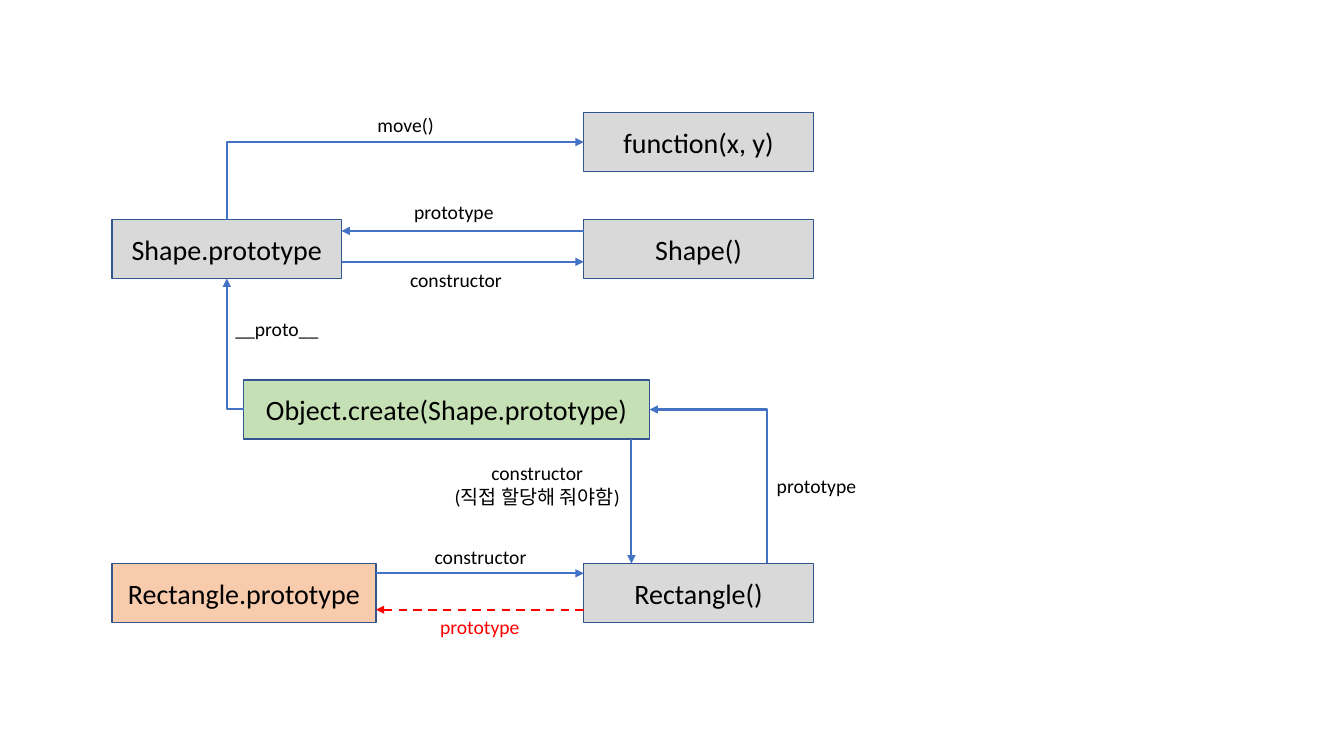
import pptx
import pptx.dml.color
import pptx.enum.dml
import pptx.enum.shapes
import pptx.enum.text
import pptx.oxml
import pptx.oxml.ns
import pptx.util

Pt = pptx.util.Pt
RGBColor = pptx.dml.color.RGBColor

BLACK = RGBColor(0x00, 0x00, 0x00)
RED = RGBColor(0xFF, 0x00, 0x00)
BLUE = RGBColor(0x44, 0x72, 0xC4)
NAVY = RGBColor(0x32, 0x54, 0x91)
GRAY = RGBColor(0xD9, 0xD9, 0xD9)
GREEN = RGBColor(0xC5, 0xE0, 0xB4)
ORANGE = RGBColor(0xF8, 0xCB, 0xAD)

FONT = "Calibri"
BOX_HEIGHT = 42
BOX_WIDTH = 164
LEFT_X, RIGHT_X = 80, 417
FUNCTION_Y, SHAPE_Y, CREATE_Y, RECTANGLE_Y = 80.5, 157, 271.5, 402.5
CREATE_X, CREATE_WIDTH = 174, 290
RECTANGLE_PROTOTYPE_WIDTH = 188.5
SHAPE_PROTOTYPE_RIGHT = LEFT_X + BOX_WIDTH
SHAPE_PROTOTYPE_CENTER = LEFT_X + BOX_WIDTH / 2
RECTANGLE_PROTOTYPE_RIGHT = LEFT_X + RECTANGLE_PROTOTYPE_WIDTH
CREATE_MIDDLE = CREATE_Y + BOX_HEIGHT / 2


def write_lines(text_frame, lines, size, color):
    """Fill a text frame with centred lines, one paragraph each."""
    text_frame.word_wrap = True
    for index, line in enumerate(lines):
        paragraph = text_frame.add_paragraph() if index else text_frame.paragraphs[0]
        paragraph.alignment = pptx.enum.text.PP_ALIGN.CENTER
        run = paragraph.add_run()
        run.text = line
        run.font.name = FONT
        run.font.size = Pt(size)
        run.font.color.rgb = color


def add_box(slide, text, left, top, width=BOX_WIDTH, fill=GRAY):
    """Add an object box with a centred name."""
    shape = slide.shapes.add_shape(
        pptx.enum.shapes.MSO_SHAPE.RECTANGLE, Pt(left), Pt(top), Pt(width), Pt(BOX_HEIGHT))
    shape.shadow.inherit = False
    shape.fill.solid()
    shape.fill.fore_color.rgb = fill
    shape.line.color.rgb = NAVY
    shape.line.width = Pt(1)
    shape.text_frame.vertical_anchor = pptx.enum.text.MSO_ANCHOR.MIDDLE
    write_lines(shape.text_frame, [text], 20, BLACK)


def add_label(slide, lines, left, top, width, color=BLACK):
    """Add the caption of an arrow."""
    height = 7.5 + 17 * len(lines)
    shape = slide.shapes.add_textbox(Pt(left), Pt(top), Pt(width), Pt(height))
    write_lines(shape.text_frame, lines, 14, color)


def add_arrow(slide, begin, end, color=BLUE, dashed=False):
    """Add a straight arrow that points at its end."""
    connector = slide.shapes.add_connector(
        pptx.enum.shapes.MSO_CONNECTOR.STRAIGHT, *map(Pt, begin + end))
    connector.line.color.rgb = color
    connector.line.width = Pt(1.5)
    if dashed:
        connector.line.dash_style = pptx.enum.dml.MSO_LINE.DASH
    line = connector.line._get_or_add_ln()
    pptx.oxml.ns.qn("a:tailEnd")
    line.append(pptx.oxml.parse_xml(
        '<a:tailEnd %s type="triangle"/>' % pptx.oxml.ns.nsdecls("a")))
    connector._element.spPr.append(pptx.oxml.parse_xml(
        "<a:effectLst %s/>" % pptx.oxml.ns.nsdecls("a")))
    return connector


def add_corner_arrow(slide, begin, end, upward_first=True):
    """Add an arrow with one corner, turned a quarter when it starts upwards."""
    connector = add_arrow(slide, begin, end)
    properties = connector._element.spPr
    properties.find(pptx.oxml.ns.qn("a:prstGeom")).set("prst", "bentConnector2")
    if upward_first:
        width, height = abs(end[1] - begin[1]), abs(end[0] - begin[0])
        connector.left = Pt((begin[0] + end[0] - width) / 2)
        connector.top = Pt((begin[1] + end[1] - height) / 2)
        connector.width, connector.height = Pt(width), Pt(height)
        frame = properties.find(pptx.oxml.ns.qn("a:xfrm"))
        frame.set("rot", str(270 * 60000))
        frame.set("flipH", "0")
        frame.set("flipV", "1" if end[0] < begin[0] else "0")


def main():
    """Build the prototype chain diagram."""
    presentation = pptx.Presentation()
    presentation.slide_width, presentation.slide_height = Pt(960), Pt(540)
    slide = presentation.slides.add_slide(presentation.slide_layouts[6])

    add_box(slide, "function(x, y)", RIGHT_X, FUNCTION_Y)
    add_box(slide, "Shape.prototype", LEFT_X, SHAPE_Y)
    add_box(slide, "Shape()", RIGHT_X, SHAPE_Y)
    add_box(slide, "Object.create(Shape.prototype)", CREATE_X, CREATE_Y, CREATE_WIDTH, GREEN)
    add_box(slide, "Rectangle.prototype", LEFT_X, RECTANGLE_Y, RECTANGLE_PROTOTYPE_WIDTH, ORANGE)
    add_box(slide, "Rectangle()", RIGHT_X, RECTANGLE_Y)

    add_arrow(slide, (RIGHT_X, 165), (SHAPE_PROTOTYPE_RIGHT, 165))
    add_arrow(slide, (SHAPE_PROTOTYPE_RIGHT, 187), (RIGHT_X, 187))
    add_arrow(slide, (RECTANGLE_PROTOTYPE_RIGHT, 409.5), (RIGHT_X, 409.5))
    add_arrow(slide, (RIGHT_X, 435.5), (RECTANGLE_PROTOTYPE_RIGHT, 435.5), RED, dashed=True)
    add_arrow(slide, (451, CREATE_Y + BOX_HEIGHT), (451, RECTANGLE_Y))
    add_corner_arrow(slide, (SHAPE_PROTOTYPE_CENTER, SHAPE_Y),
                     (RIGHT_X, FUNCTION_Y + BOX_HEIGHT / 2))
    add_corner_arrow(slide, (548, RECTANGLE_Y), (CREATE_X + CREATE_WIDTH, CREATE_MIDDLE))
    add_corner_arrow(slide, (CREATE_X, CREATE_MIDDLE),
                     (SHAPE_PROTOTYPE_CENTER, SHAPE_Y + BOX_HEIGHT), upward_first=False)

    add_label(slide, ["move()"], 244, 77, 91.5)
    add_label(slide, ["prototype"], 278.5, 139.5, 91.5)
    add_label(slide, ["constructor"], 280, 188, 91.5)
    add_label(slide, ["constructor", "(직접 할당해 줘야함)"], 309.5, 326, 148.5)
    add_label(slide, ["constructor"], 284.5, 386, 117.5)
    add_label(slide, ["prototype"], 268.5, 435.5, 148.5, RED)
    add_label(slide, ["prototype"], 509, 335, 148.5)
    add_label(slide, [" __proto__"], 156, 222.5, 80.5)

    presentation.save("out.pptx")


main()
